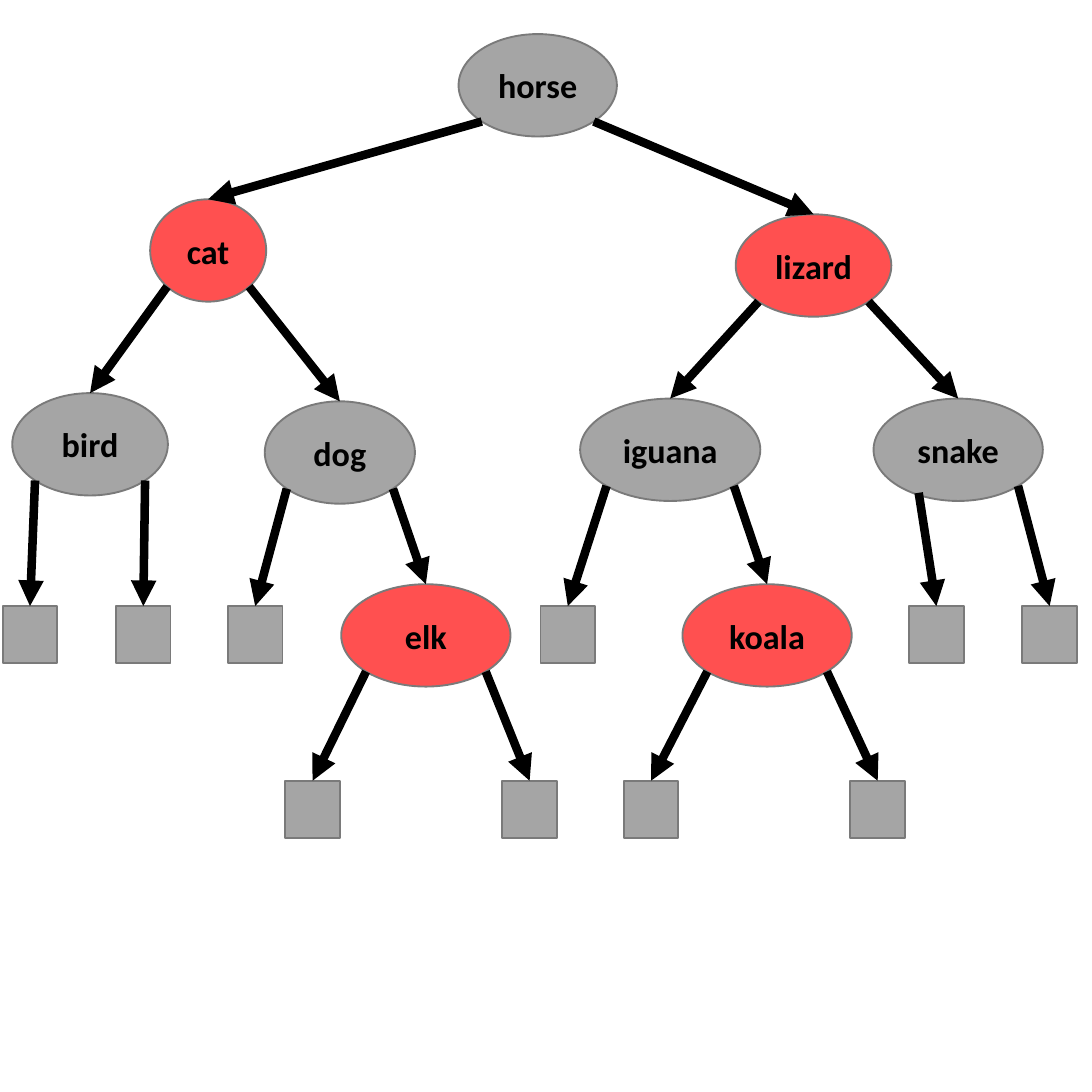
import dataclasses
import math

import lxml.etree
import pptx
import pptx.dml.color
import pptx.enum.shapes
import pptx.enum.text
import pptx.oxml.ns
import pptx.util

Inches = pptx.util.Inches
Shape = pptx.enum.shapes.MSO_SHAPE


@dataclasses.dataclass(frozen=True)
class Theme:
    black: str = "A5A5A5"
    red: str = "FF5050"
    edge: str = "7A7A7A"
    ink: str = "000000"
    font: str = "Calibri"
    size: float = 18
    rim: float = 1
    stroke: float = 4.5


@dataclasses.dataclass
class Node:
    left: float
    top: float
    width: float = 0.4
    height: float = 0.42
    word: str = ""
    fill: str = ""
    kids: tuple = ()
    ports: tuple = ()


THEME = Theme()


def color(code):
    return pptx.dml.color.RGBColor.from_string(code)


def leaf(left, top):
    return Node(left, top, fill=THEME.black)


def oval(word, fill, left, top, width, *kids, ports=((-1, 1), (1, 1))):
    return Node(left, top, width, 0.75, word, fill, kids, ports)


def tree():
    black, red = THEME.black, THEME.red
    row, base = 4.19, 5.47
    elk = oval("elk", red, 2.5, 4.03, 1.24, leaf(2.09, base), leaf(3.68, base))
    koala = oval("koala", red, 5, 4.03, 1.24, leaf(4.57, base), leaf(6.23, base))
    bird = oval("bird", black, 0.09, 2.63, 1.14, leaf(0.02, row), leaf(0.85, row))
    dog = oval("dog", black, 1.94, 2.69, 1.1, leaf(1.67, row), elk)
    iguana = oval("iguana", black, 4.25, 2.67, 1.32, leaf(3.96, row), koala)
    snake = oval("snake", black, 6.4, 2.67, 1.24, leaf(6.66, row), leaf(7.49, row),
                 ports=((-0.66, 1.19), (1, 1)))
    cat = oval("cat", red, 1.1, 1.21, 0.85, bird, dog)
    lizard = oval("lizard", red, 5.39, 1.32, 1.14, iguana, snake)
    return oval("horse", black, 3.36, 0, 1.16, cat, lizard)


def label(shape, word):
    frame = shape.text_frame
    frame.margin_left = frame.margin_right = 0
    frame.vertical_anchor = pptx.enum.text.MSO_ANCHOR.MIDDLE
    frame.text = word
    line = frame.paragraphs[0]
    line.alignment = pptx.enum.text.PP_ALIGN.CENTER
    font = line.runs[0].font
    font.name = THEME.font
    font.size = pptx.util.Pt(THEME.size)
    font.bold = True
    font.color.rgb = color(THEME.ink)


def arrow(slide, start, child):
    link = slide.shapes.add_connector(
        pptx.enum.shapes.MSO_CONNECTOR.STRAIGHT, *start, child.left, child.top)
    link.end_connect(child, 0)
    link.line.color.rgb = color(THEME.ink)
    link.line.width = pptx.util.Pt(THEME.stroke)
    tag = pptx.oxml.ns.qn
    lxml.etree.SubElement(link.line._get_or_add_ln(), tag("a:tailEnd"), type="triangle")
    lxml.etree.SubElement(link._element.spPr, tag("a:effectLst"))


def draw(slide, node, box):
    left, top = box[0] + node.left, box[1] + node.top
    kind = Shape.OVAL if node.word else Shape.RECTANGLE
    shape = slide.shapes.add_shape(
        kind, Inches(left), Inches(top), Inches(node.width), Inches(node.height))
    shape.shadow.inherit = False
    shape.fill.solid()
    shape.fill.fore_color.rgb = color(node.fill)
    shape.line.color.rgb = color(THEME.edge)
    shape.line.width = pptx.util.Pt(THEME.rim)
    if node.word:
        label(shape, node.word)
    reach = math.sqrt(0.5)
    for kid, (across, down) in zip(node.kids, node.ports):
        child = draw(slide, kid, box)
        start = (Inches(left + node.width / 2 * (1 + across * reach)),
                 Inches(top + node.height / 2 * (1 + down * reach)))
        arrow(slide, start, child)
    return shape


def main():
    deck = pptx.Presentation()
    deck.slide_width = deck.slide_height = Inches(8)
    slide = deck.slides.add_slide(deck.slide_layouts[6])
    draw(slide, tree(), (0, 0.25))
    deck.save("out.pptx")


if __name__ == "__main__":
    main()
